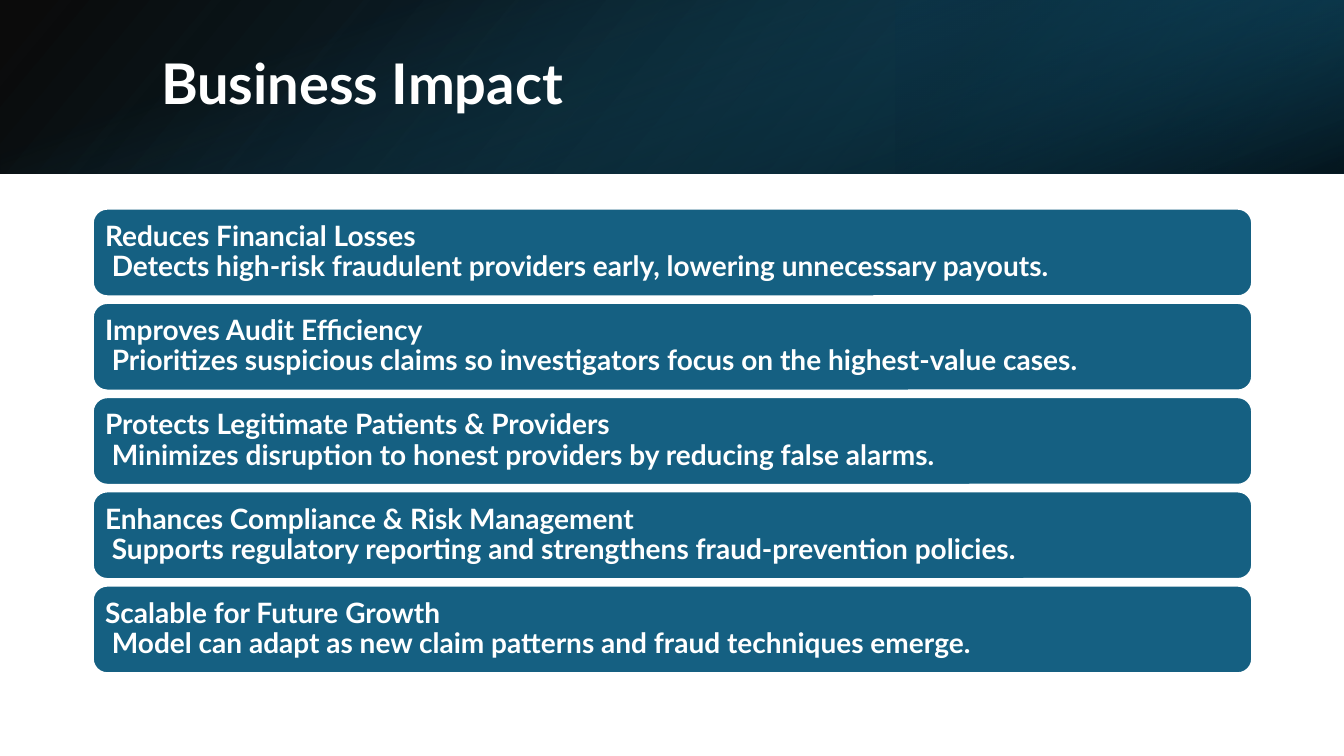
from lxml.etree import SubElement
from pptx import Presentation
from pptx.dml.color import RGBColor
from pptx.enum.shapes import MSO_SHAPE as Preset
from pptx.enum.text import MSO_ANCHOR as Anchor, PP_ALIGN as Align
from pptx.oxml.ns import qn
from pptx.util import Inches, Pt

WIDTH, HEIGHT = 13.33, 7.5
BAND = 1.72
WHITE, TEAL = "FFFFFF", "156082"
TITLE = "Business Impact"
IMPACTS = [
    ("Reduces Financial Losses",
     " Detects high-risk fraudulent providers early, lowering unnecessary payouts."),
    ("Improves Audit Efficiency",
     " Prioritizes suspicious claims so investigators focus on the highest-value cases."),
    ("Protects Legitimate Patients & Providers",
     " Minimizes disruption to honest providers by reducing false alarms."),
    ("Enhances Compliance & Risk Management",
     " Supports regulatory reporting and strengthens fraud-prevention policies."),
    ("Scalable for Future Growth",
     " Model can adapt as new claim patterns and fraud techniques emerge."),
]
BAND_LAYERS = [
    {"box": (0, 0, WIDTH, BAND), "rotation": 0, "flip": True, "angle": 140,
     "stops": [(0, "000000", 96), (100, "104862", 100)]},
    {"box": (WIDTH * 2 / 3, 0, WIDTH / 3, BAND), "rotation": 180, "flip": True, "angle": 320,
     "stops": [(19, "0B3041", 68), (100, TEAL, 79)]},
    {"box": ((WIDTH - BAND) / 2, (BAND - WIDTH) / 2, BAND, WIDTH), "rotation": 90,
     "flip": False, "angle": 340, "stops": [(23, TEAL, 0), (99, "000000", 74)]},
]
CARD_LEFT, CARD_TOP, CARD_WIDTH, CARD_HEIGHT = 0.92, 2.07, 11.5, 0.87
CARD_PITCH = 0.935
CARD_MARGIN = 0.08


def color(value):
    return RGBColor.from_string(value)


def add_shape(slide, preset, box):
    shape = slide.shapes.add_shape(preset, *map(Inches, box))
    shape.shadow.inherit = False
    return shape


def add_band_layer(slide, box, rotation, flip, angle, stops):
    shape = add_shape(slide, Preset.RECTANGLE, box)
    shape.rotation = rotation
    shape.line.fill.background()
    properties = shape.element.spPr
    if flip:
        properties.find(qn("a:xfrm")).set("flipH", "1")
    gradient = SubElement(properties, qn("a:gradFill"), rotWithShape="1")
    stop_list = SubElement(gradient, qn("a:gsLst"))
    for position, value, opacity in stops:
        stop = SubElement(stop_list, qn("a:gs"), pos=str(position * 1000))
        stop_color = SubElement(stop, qn("a:srgbClr"), val=value)
        SubElement(stop_color, qn("a:alpha"), val=str(opacity * 1000))
    SubElement(gradient, qn("a:lin"), ang=str(angle * 60000), scaled="0")
    properties.find(qn("a:prstGeom")).addnext(gradient)


def write_text(shape, lines, size):
    frame = shape.text_frame
    frame.word_wrap = True
    frame.vertical_anchor = Anchor.MIDDLE
    paragraph = frame.paragraphs[0]
    paragraph.alignment = Align.LEFT
    paragraph.line_spacing = 0.9
    for index, line in enumerate(lines):
        if index:
            paragraph.add_line_break()
        run = paragraph.add_run()
        run.text = line
        run.font.name = "Lato"
        run.font.size = Pt(size)
        run.font.bold = True
        run.font.color.rgb = color(WHITE)


def add_card(slide, row, lines):
    top = CARD_TOP + row * CARD_PITCH
    card = add_shape(slide, Preset.ROUNDED_RECTANGLE,
                     (CARD_LEFT, top, CARD_WIDTH, CARD_HEIGHT))
    card.fill.solid()
    card.fill.fore_color.rgb = color(TEAL)
    card.line.color.rgb = color(WHITE)
    card.line.width = Pt(1.5)
    frame = card.text_frame
    frame.margin_left = frame.margin_right = Inches(CARD_MARGIN)
    frame.margin_top = frame.margin_bottom = Inches(CARD_MARGIN)
    write_text(card, lines, 20)


def main():
    presentation = Presentation()
    presentation.slide_width = Inches(WIDTH)
    presentation.slide_height = Inches(HEIGHT)
    slide = presentation.slides.add_slide(presentation.slide_layouts[6])
    for layer in BAND_LAYERS:
        add_band_layer(slide, **layer)
    title = slide.shapes.add_textbox(*map(Inches, (1.5, 0.38, 10.98, 0.96)))
    write_text(title, [TITLE], 40)
    for row, lines in enumerate(IMPACTS):
        add_card(slide, row, lines)
    presentation.save("out.pptx")


if __name__ == "__main__":
    main()
